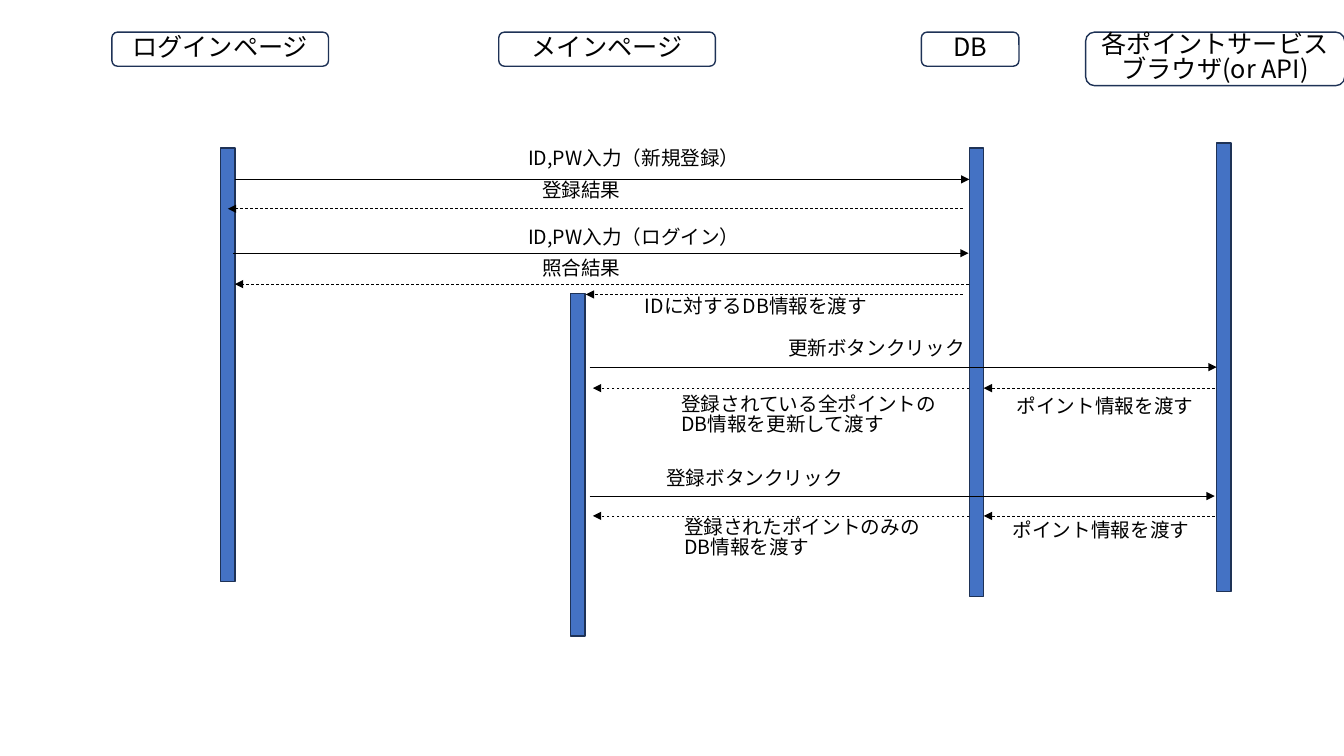
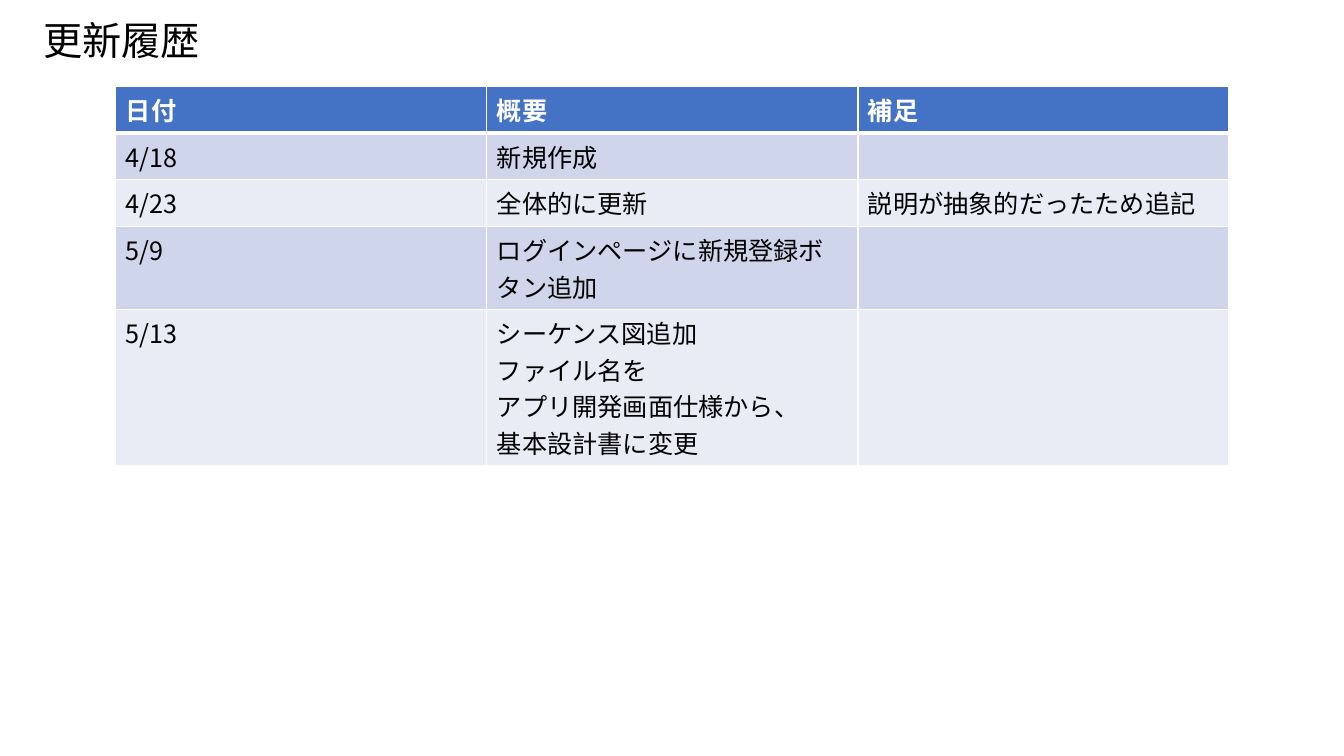
from lxml import etree
from pptx import Presentation
from pptx.dml.color import RGBColor
from pptx.enum.dml import MSO_LINE
from pptx.enum.shapes import MSO_CONNECTOR, MSO_SHAPE
from pptx.enum.text import MSO_ANCHOR, MSO_AUTO_SIZE, PP_ALIGN
from pptx.oxml.ns import qn
from pptx.util import Cm, Pt

STRAIGHT = MSO_CONNECTOR.STRAIGHT
RECTANGLE, ROUNDED = MSO_SHAPE.RECTANGLE, MSO_SHAPE.ROUNDED_RECTANGLE
LEFT, CENTER = PP_ALIGN.LEFT, PP_ALIGN.CENTER
TOP, MIDDLE = MSO_ANCHOR.TOP, MSO_ANCHOR.MIDDLE
NO_AUTOFIT = MSO_AUTO_SIZE.NONE
DASH = MSO_LINE.DASH
LEFT_SIDE = 1
TITLE_ONLY, BLANK = 5, 6

FONT = "Noto Sans CJK JP"
BLUE, NAVY, BLACK, WHITE = "4472C4", "1E3256", "000000", "FFFFFF"
BANDS = ("CFD5EA", "E9EBF5")
TIGHT = 0.83


def color(hex_text):
    return RGBColor.from_string(hex_text)


def write_text(text_frame, text, size=14, ink=BLACK, bold=False,
               align=LEFT, spacing=TIGHT):
    text_frame.text = text
    for paragraph in text_frame.paragraphs:
        paragraph.alignment = align
        paragraph.line_spacing = spacing
        for run in paragraph.runs:
            font = run.font
            font.name, font.size, font.bold = FONT, Pt(size), bold
            font.color.rgb = color(ink)
            # East Asian text needs its own typeface entry
            latin = run._r.get_or_add_rPr().find(qn("a:latin"))
            east_asian = etree.Element(qn("a:ea"), typeface=FONT)
            latin.addnext(east_asian)


def set_border(cell, side, width):
    properties = cell._tc.get_or_add_tcPr()
    line = etree.Element(qn("a:" + side), w=str(Pt(width)))
    fill = etree.SubElement(line, qn("a:solidFill"))
    etree.SubElement(fill, qn("a:srgbClr"), val=WHITE)
    # Borders stand before the fill, in schema order
    position = len(properties.findall("*")) - len(properties.findall(qn("a:solidFill")))
    properties.insert(position, line)


class Deck:
    """Shared style and the slide being built."""

    def __init__(self):
        self.presentation = Presentation()
        self.presentation.slide_width = Cm(33.87)
        self.presentation.slide_height = Cm(19.05)
        self.slide = None

    def add_slide(self, layout):
        layouts = self.presentation.slide_layouts
        self.slide = self.presentation.slides.add_slide(layouts[layout])

    def title(self, text, left, top, width, height):
        title = self.slide.shapes.title
        title.left, title.top = Cm(left), Cm(top)
        title.width, title.height = Cm(width), Cm(height)
        title.text_frame.auto_size = NO_AUTOFIT
        title.text_frame.vertical_anchor = MIDDLE
        write_text(title.text_frame, text, size=28)

    def box(self, kind, left, top, width, height, fill=None):
        shape = self.slide.shapes.add_shape(
            kind, Cm(left), Cm(top), Cm(width), Cm(height))
        shape.shadow.inherit = False
        if fill:
            shape.fill.solid()
            shape.fill.fore_color.rgb = color(fill)
        else:
            shape.fill.background()
        shape.line.color.rgb = color(NAVY)
        shape.line.width = Pt(1)
        return shape

    def participant(self, name, left, width, height=0.86):
        shape = self.box(ROUNDED, left, 0.81, width, height)
        shape.text_frame.word_wrap = True
        shape.text_frame.vertical_anchor = MIDDLE
        write_text(shape.text_frame, name, size=18, align=CENTER)

    def lifeline(self, left, top, height):
        return self.box(RECTANGLE, left, top, 0.36, height, fill=BLUE)

    def label(self, text, left, top, width, height=0.86):
        box = self.slide.shapes.add_textbox(
            Cm(left), Cm(top), Cm(width), Cm(height))
        box.text_frame.word_wrap = True
        box.text_frame.vertical_anchor = TOP
        write_text(box.text_frame, text)

    def arrow(self, start, end, y, dashed=False):
        connector = self.slide.shapes.add_connector(
            STRAIGHT, Cm(start), Cm(y), Cm(end), Cm(y))
        connector.line.color.rgb = color(BLACK)
        connector.line.width = Pt(0.5)
        if dashed:
            connector.line.dash_style = DASH
        line = connector.line._get_or_add_ln()
        etree.SubElement(line, qn("a:tailEnd"), type="triangle")
        etree.SubElement(connector._element.spPr, qn("a:effectLst"))
        return connector

    def table(self, rows, left, top, column_width, row_height):
        columns = len(rows[0])
        table = self.slide.shapes.add_table(
            len(rows), columns, Cm(left), Cm(top),
            Cm(column_width * columns), Cm(row_height * len(rows))).table
        for column in table.columns:
            column.width = Cm(column_width)
        for row_index, texts in enumerate(rows):
            header = row_index == 0
            for column_index, text in enumerate(texts):
                cell = table.cell(row_index, column_index)
                write_text(cell.text_frame, text, size=18, bold=header,
                           ink=WHITE if header else BLACK, spacing=1.0)
                cell.fill.solid()
                fill = BLUE if header else BANDS[(row_index - 1) % 2]
                cell.fill.fore_color.rgb = color(fill)
                set_border(cell, "lnL", 1)
                set_border(cell, "lnR", 1)
                set_border(cell, "lnT", 3 if row_index == 1 else 1)
                set_border(cell, "lnB", 3 if header else 1)


def build_sequence(deck):
    deck.add_slide(BLANK)

    # Participants: name, left, width, height
    for participant in (
        ("ログインページ", 2.82, 5.46),
        ("メインページ", 12.57, 5.46),
        ("DB", 23.22, 2.46),
        ("各ポイントサービスブラウザ(or API)", 27.36, 6.53, 1.35),
    ):
        deck.participant(*participant)

    # Lifelines
    deck.lifeline(5.56, 3.73, 10.92)
    deck.lifeline(14.38, 7.39, 8.64)
    deck.lifeline(24.43, 3.73, 11.3)
    service = deck.lifeline(30.66, 3.6, 11.3)

    # Requests: start, end, y
    for request in ((5.92, 24.43, 4.52), (5.87, 24.41, 6.38),
                    (14.86, 30.61, 12.5)):
        deck.arrow(*request)
    deck.arrow(14.86, 30.66, 9.25).end_connect(service, LEFT_SIDE)

    # Replies
    for reply in ((24.26, 5.74, 5.26), (24.41, 5.92, 7.16),
                  (24.26, 14.76, 7.42)):
        deck.arrow(*reply, dashed=True)
    for y in (9.78, 13):
        deck.arrow(24.43, 14.94, y, dashed=True)
        deck.arrow(30.61, 24.79, y, dashed=True)

    # Messages: text, left, top, width, height
    for message in (
        ("ID,PW入力（新規登録）", 13.06, 3.66, 6.93),
        ("登録結果", 13.41, 4.47, 4.6),
        ("ID,PW入力（ログイン）", 13.06, 5.64, 6.93),
        ("照合結果", 13.41, 6.43, 4.6),
        ("IDに対するDB情報を渡す", 16, 7.39, 7.37),
        ("更新ボタンクリック", 19.61, 8.43, 6.93),
        ("登録されている全ポイントのDB情報を更新して渡す", 16.92, 9.86, 7.37, 1.45),
        ("ポイント情報を渡す", 25.37, 9.91, 7.37),
        ("登録ボタンクリック", 16.54, 11.71, 6.93),
        ("登録されたポイントのみの\nDB情報を渡す", 16.99, 12.95, 7.37, 1.45),
        ("ポイント情報を渡す", 25.27, 13.03, 7.37),
    ):
        deck.label(*message)


def build_history(deck):
    deck.add_slide(TITLE_ONLY)
    deck.title("更新履歴", 0.84, 0.38, 7.16, 1.45)
    deck.table((
        ("日付", "概要", "補足"),
        ("4/18", "新規作成", ""),
        ("4/23", "全体的に更新", "説明が抽象的だったため追記"),
        ("5/9", "ログインページに新規登録ボタン追加", ""),
        ("5/13", "シーケンス図追加\nファイル名を\nアプリ開発画面仕様から、\n基本設計書に変更", ""),
    ), left=2.92, top=2.18, column_width=9.35, row_height=1.17)


def main():
    deck = Deck()
    build_sequence(deck)
    build_history(deck)
    deck.presentation.save("out.pptx")


if __name__ == "__main__":
    main()
